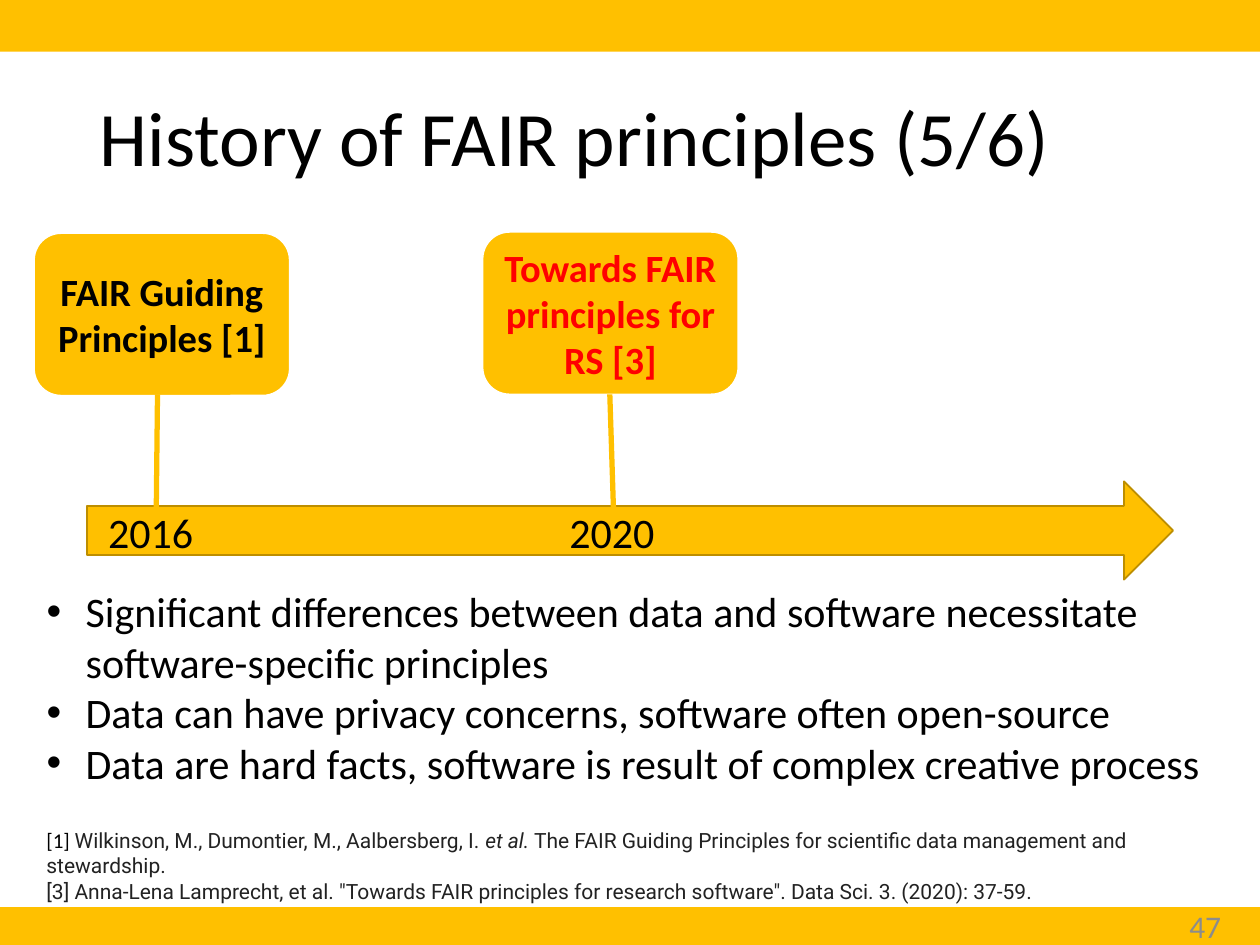
from lxml.etree import SubElement as Sub
from pptx import Presentation
from pptx.dml.color import RGBColor
from pptx.enum.shapes import MSO_CONNECTOR as Link, MSO_SHAPE as Geo
from pptx.enum.text import MSO_ANCHOR as Anchor, MSO_AUTO_SIZE as Fit, PP_ALIGN as Align
from pptx.oxml.ns import qn
from pptx.util import Inches, Pt

HEX = {"gold": "FFC000", "edge": "BD8E00", "white": "FFFFFF", "black": "000000",
       "red": "FF0000", "ink": "222222", "gray": "8C8C8C"}

TITLE = "History of FAIR principles (5/6)"
# Box text, text colour, box left and top, stem from and to, year, year left and width
EVENTS = [
    ("FAIR Guiding Principles [1]", "black", 0.27, 1.85,
     (1.25, 3.13, 1.24, 4.08), "2016", 0.76, 1.05),
    ("Towards FAIR principles for RS [3]", "red", 3.83, 1.84,
     (4.84, 3.13, 4.87, 4.07), "2020", 4.42, 0.9),
]
POINTS = [
    "Significant differences between data and software necessitate software-specific principles",
    "Data can have privacy concerns, software often open-source",
    "Data are hard facts, software is result of complex creative process",
]
# Each reference is a list of (text, font, colour, italic)
REFS = [
    [("[1] ", "Calibri", "black", False),
     ("Wilkinson, M., Dumontier, M., Aalbersberg, I. ", "Roboto", "ink", False),
     ("et al.", "Roboto", "ink", True),
     (" The FAIR Guiding Principles for scientific data management and stewardship.",
      "Roboto", "ink", False)],
    [('[3] Anna-Lena Lamprecht, et al. "Towards FAIR principles for research software". '
      "Data Sci. 3. (2020): 37-59.", "Roboto", "ink", False)],
]


def rgb(name):
    return RGBColor.from_string(HEX[name])


def style(font, size, color="black", name="Calibri", bold=False):
    font.size, font.name, font.bold = Pt(size), name, bold
    font.color.rgb = rgb(color)


def place(shape, *box):
    shape.left, shape.top, shape.width, shape.height = map(Inches, box)


def add_block(slide, geo, box, edge=None):
    block = slide.shapes.add_shape(geo, *map(Inches, box))
    block.shadow.inherit = False
    block.fill.solid()
    block.fill.fore_color.rgb = rgb("gold")
    if edge:
        block.line.color.rgb = rgb(edge)
        block.line.width = Pt(1)
    else:
        block.line.fill.background()
    return block


def add_card(slide, text, color, left, top):
    card = add_block(slide, Geo.ROUNDED_RECTANGLE, (left, top, 2.03, 1.29), "white")
    frame = card.text_frame
    frame.margin_left = frame.margin_right = Inches(0.1)
    frame.margin_top = frame.margin_bottom = Inches(0.1)
    frame.vertical_anchor = Anchor.MIDDLE
    frame.text = text
    para = frame.paragraphs[0]
    para.alignment = Align.CENTER
    style(para.font, 22, color, bold=True)


def add_stem(slide, ends):
    stem = slide.shapes.add_connector(Link.STRAIGHT, *map(Inches, ends))
    stem.line.color.rgb = rgb("gold")
    stem.line.width = Pt(3)
    Sub(stem._element.spPr, qn("a:effectLst"))


def add_text(slide, box, text="", size=24, color="black", align=Align.LEFT):
    frame = slide.shapes.add_textbox(*map(Inches, box)).text_frame
    frame.word_wrap = True
    frame.text = text
    para = frame.paragraphs[0]
    para.alignment = align
    style(para.font, size, color)
    return frame


def add_refs(slide):
    frame = add_text(slide, (0.27, 6.52, 9.41, 0.5), size=12)
    for i, ref in enumerate(REFS):
        para = frame.add_paragraph() if i else frame.paragraphs[0]
        for text, name, color, slant in ref:
            run = para.add_run()
            run.text = text
            style(run.font, 12, color, name)
            run.font.italic = slant


def fill_title(title):
    place(title, 0.69, 0.4, 8.62, 1.45)
    frame = title.text_frame
    frame.text = TITLE
    frame.auto_size = Fit.NONE
    frame.vertical_anchor = Anchor.MIDDLE
    para = frame.paragraphs[0]
    para.alignment = Align.LEFT
    para.line_spacing = 0.9
    style(para.font, 44)


def fill_list(body):
    place(body, 0.27, 4.6, 9.41, 1.72)
    frame = body.text_frame
    frame.text = "\n".join(POINTS)
    frame.auto_size = Fit.NONE
    for para in frame.paragraphs:
        para.space_before = Pt(0)
        props = para._p.get_or_add_pPr()
        props.set("marL", str(Inches(0.31)))
        props.set("indent", str(Inches(-0.31)))
        Sub(props, qn("a:buFont"), typeface="Arial")
        Sub(props, qn("a:buChar"), char="•")
        style(para.font, 24)


def main():
    deck = Presentation()
    deck.slide_width, deck.slide_height = Inches(10), Inches(7.5)
    slide = deck.slides.add_slide(deck.slide_layouts[1])

    # Bands, title and list
    add_block(slide, Geo.RECTANGLE, (0, 0, 10, 0.41))
    add_block(slide, Geo.RECTANGLE, (0, 7.2, 10, 0.3))
    fill_title(slide.shapes.title)
    fill_list(slide.placeholders[1])

    # Timeline
    add_block(slide, Geo.RIGHT_ARROW, (0.69, 3.82, 8.62, 0.78), "edge")
    for text, color, left, top, ends, year, start, width in EVENTS:
        add_card(slide, text, color, left, top)
        add_stem(slide, ends)
        add_text(slide, (start, 3.97, width, 0.5), year)

    # References and page number
    add_refs(slide)
    page = add_text(slide, (7.54, 7.15, 2.25, 0.4), "47", 18, "gray", Align.RIGHT)
    page.vertical_anchor = Anchor.MIDDLE

    deck.save("out.pptx")


if __name__ == "__main__":
    main()
